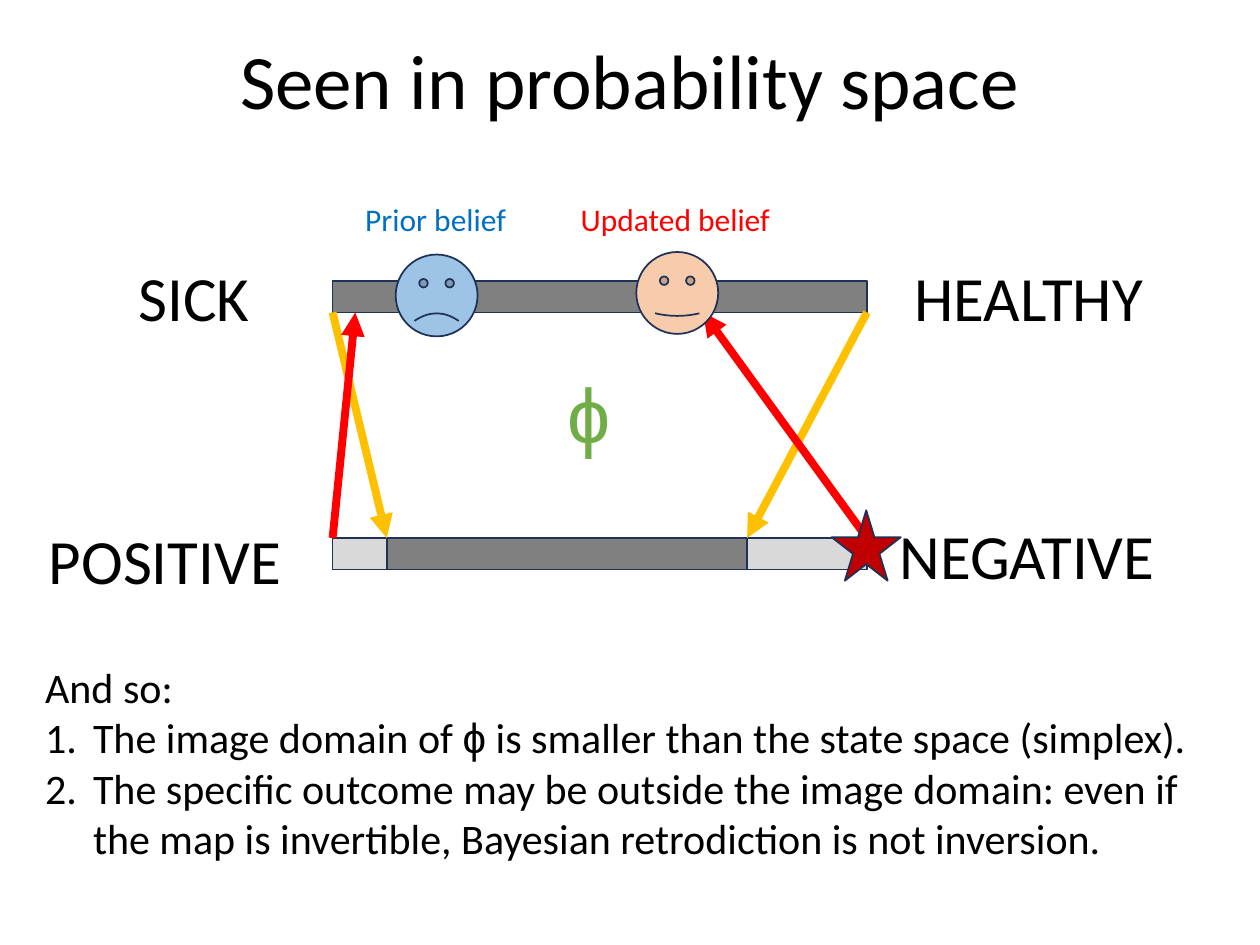
import pptx
import pptx.util
import pptx.dml.color
import pptx.enum.shapes
import pptx.enum.text
import pptx.oxml.ns
from lxml import etree

Inches = pptx.util.Inches
SHAPE = pptx.enum.shapes.MSO_SHAPE
ALIGN = pptx.enum.text.PP_ALIGN
FIT = pptx.enum.text.MSO_AUTO_SIZE
ANCHOR = pptx.enum.text.MSO_ANCHOR
qn = pptx.oxml.ns.qn

COLORS = {
    "text": "000000", "outline": "1E3256", "dark": "808080", "light": "D9D9D9",
    "forward": "FFC000", "backward": "FF0000", "map": "70AD47",
    "prior": "0070C0", "prior_face": "9DC3E6", "updated_face": "F8CBAD",
    "star": "C00000",
}
BAR_LEFT, BAR_WIDTH, BAR_HEIGHT = 2.64, 4.24, 0.25
BAR_RIGHT = BAR_LEFT + BAR_WIDTH
STATE_TOP, OUTCOME_TOP = 2.23, 4.27
STATE_BOTTOM = STATE_TOP + BAR_HEIGHT
IMAGE_LEFT, IMAGE_RIGHT = 3.07, 5.93
FACE_SIZE = 0.65


def rgb(color):
    return pptx.dml.color.RGBColor.from_string(COLORS[color])


def add_runs(paragraph, parts, size, color="text"):
    """Add (text, font name) parts as runs of one size and colour."""
    for text, font_name in parts:
        run = paragraph.add_run()
        run.text = text
        for key, value in {"name": font_name, "size": pptx.util.Pt(size)}.items():
            setattr(run.font, key, value)
        run.font.color.rgb = rgb(color)


def add_frame(slide, box, **formats):
    frame = slide.shapes.add_textbox(*map(Inches, box)).text_frame
    settings = {"word_wrap": True, "auto_size": FIT.SHAPE_TO_FIT_TEXT, **formats}
    for key, value in settings.items():
        setattr(frame, key, value)
    return frame


def add_label(slide, text, box, size, color="text", font="Calibri",
              align=ALIGN.LEFT, **formats):
    paragraph = add_frame(slide, box, **formats).paragraphs[0]
    paragraph.alignment = align
    add_runs(paragraph, [(text, font)], size, color)
    return paragraph


def add_figure(slide, preset, box, fill, bend=None):
    """Add an outlined preset shape; bend curves the mouth of a face."""
    figure = slide.shapes.add_shape(preset, *map(Inches, box))
    figure.shadow.inherit = False
    figure.fill.solid()
    figure.fill.fore_color.rgb = rgb(fill)
    figure.line.color.rgb = rgb("outline")
    figure.line.width = pptx.util.Pt(1)
    if bend is not None:
        figure.adjustments[0] = bend


def add_arrow(slide, start, end, color):
    arrow = slide.shapes.add_connector(
        pptx.enum.shapes.MSO_CONNECTOR.STRAIGHT, *map(Inches, start + end))
    arrow.line.color.rgb = rgb(color)
    arrow.line.width = pptx.util.Pt(4.5)
    etree.SubElement(arrow.line._get_or_add_ln(), qn("a:tailEnd"), type="triangle")
    etree.SubElement(arrow._element.spPr, qn("a:effectLst"))


def number_paragraph(paragraph):
    properties = paragraph._p.get_or_add_pPr()
    indent = Inches(0.38)
    properties.set("marL", str(indent))
    properties.set("indent", str(-indent))
    etree.SubElement(properties, qn("a:buFont"), typeface="+mj-lt")
    etree.SubElement(properties, qn("a:buAutoNum"), type="arabicPeriod")


def add_conclusions(slide):
    frame = add_frame(slide, (0.26, 5.2, 9.68, 1.72))
    add_runs(frame.paragraphs[0], [("And so:", "Calibri")], 24)
    conclusions = [
        [("The image domain of ", "Calibri"), ("ϕ", "Arial"),
         (" is smaller than the state space (simplex).", "Calibri")],
        [("The specific outcome may be outside the image domain: even if the map "
          "is invertible, Bayesian retrodiction is not inversion.", "Calibri")],
    ]
    for parts in conclusions:
        paragraph = frame.add_paragraph()
        number_paragraph(paragraph)
        add_runs(paragraph, parts, 24)


def main():
    deck = pptx.Presentation()
    deck.slide_width, deck.slide_height = Inches(10), Inches(7.5)
    slide = deck.slides.add_slide(deck.slide_layouts[6])

    title = add_label(slide, "Seen in probability space", (0.69, 0.26, 8.62, 0.83), 44,
                      align=ALIGN.CENTER, auto_size=FIT.NONE,
                      vertical_anchor=ANCHOR.MIDDLE)
    title.line_spacing = 0.9

    for text, box, align in [
        ("SICK", (1, 2, 1.09, 0.71), ALIGN.LEFT),
        ("HEALTHY", (7.14, 2, 2.03, 0.71), ALIGN.RIGHT),
        ("POSITIVE", (0.29, 4.09, 2.06, 0.71), ALIGN.LEFT),
        ("NEGATIVE", (7.04, 4.05, 2.25, 0.71), ALIGN.LEFT),
    ]:
        add_label(slide, text, box, 36, align=align, word_wrap=False)

    for left, top, width, fill in [
        (BAR_LEFT, STATE_TOP, BAR_WIDTH, "dark"),
        (BAR_LEFT, OUTCOME_TOP, BAR_WIDTH, "light"),
        (IMAGE_LEFT, OUTCOME_TOP, IMAGE_RIGHT - IMAGE_LEFT, "dark"),
    ]:
        add_figure(slide, SHAPE.RECTANGLE, (left, top, width, BAR_HEIGHT), fill)

    for state_x, image_x in [(BAR_LEFT, IMAGE_LEFT), (BAR_RIGHT, IMAGE_RIGHT)]:
        add_arrow(slide, (state_x, STATE_BOTTOM), (image_x, OUTCOME_TOP), "forward")

    add_label(slide, "ϕ", (4.41, 2.86, 0.7, 0.84), 44, "map", "Arial")
    add_conclusions(slide)

    for outcome_x, state_x in [(BAR_LEFT, 2.82), (BAR_RIGHT, 5.58)]:
        add_arrow(slide, (outcome_x, OUTCOME_TOP), (state_x, STATE_BOTTOM), "backward")

    add_figure(slide, SHAPE.STAR_5_POINT, (6.6, 4.05, 0.55, 0.56), "star")
    for text, left, width, color, face_left, face_top, face_fill, bend in [
        ("Prior belief", 2.8, 1.33, "prior", 3.14, 2.02, "prior_face", -0.047),
        ("Updated belief", 4.51, 1.72, "backward", 5.05, 2, "updated_face", 0.016),
    ]:
        add_label(slide, text, (left, 1.54, width, 0.4), 18, color, word_wrap=False)
        add_figure(slide, SHAPE.SMILEY_FACE,
                   (face_left, face_top, FACE_SIZE, FACE_SIZE), face_fill, bend)

    deck.save("out.pptx")


if __name__ == "__main__":
    main()
